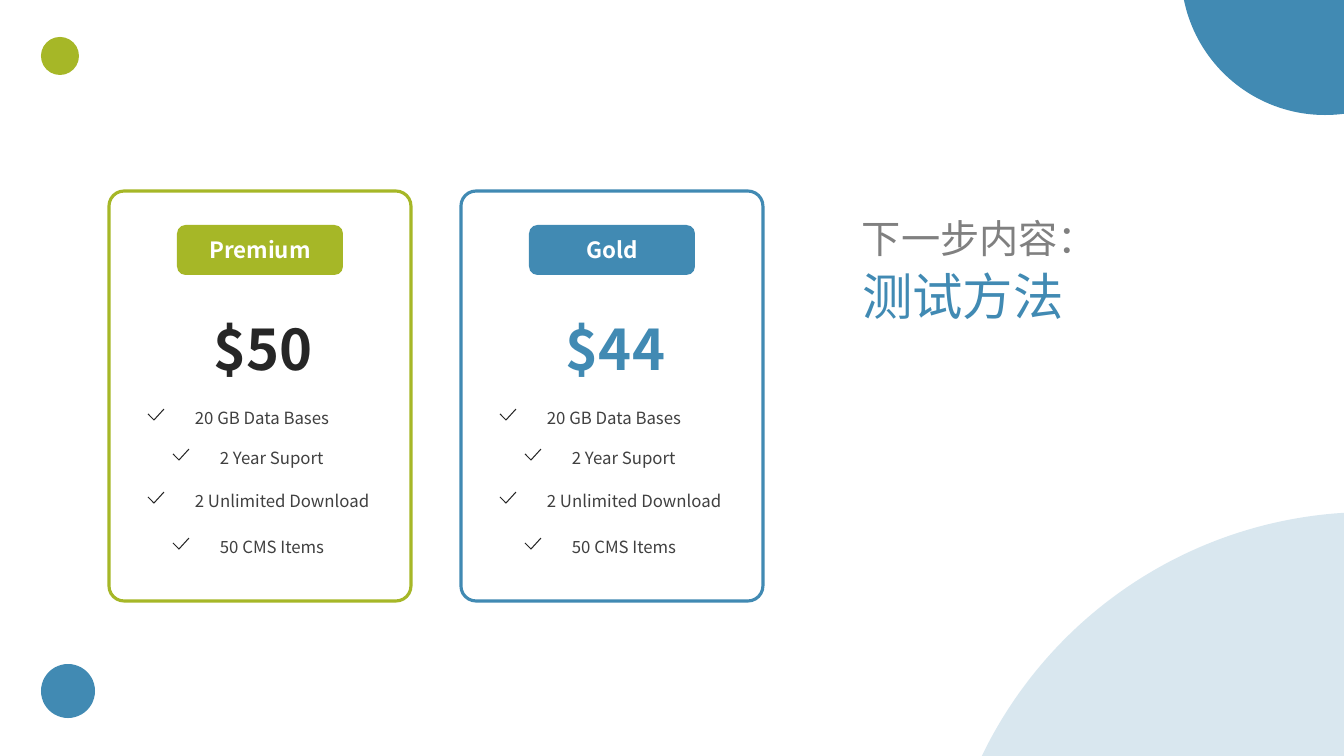
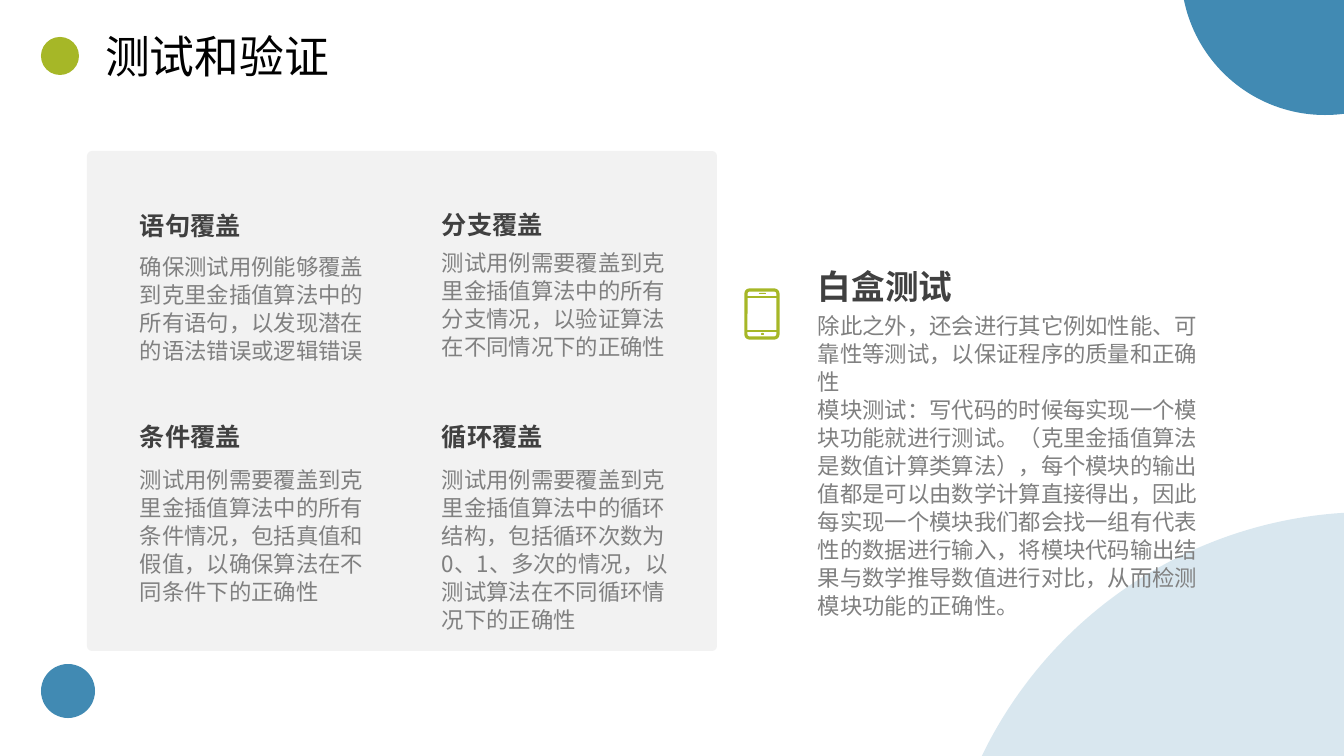
from typing import NamedTuple, Optional

from lxml import etree
from pptx import Presentation
from pptx.dml.color import RGBColor
from pptx.enum.lang import MSO_LANGUAGE_ID as Lang
from pptx.enum.shapes import MSO_CONNECTOR as Conn, MSO_SHAPE as Geo
from pptx.enum.text import MSO_ANCHOR as Anchor, MSO_AUTO_SIZE as AutoSize, PP_ALIGN as Align
from pptx.oxml.ns import qn
from pptx.util import Emu, Pt

SCALE = 914400 / 100.8
WIDTH, HEIGHT = 1344, 756
FONT = "Noto Sans CJK SC"
COLORS = {
    "blue": "418AB3", "green": "A6B727", "white": "FFFFFF", "panel": "F2F2F2",
    "black": "000000", "ink": "262626", "dark": "404040", "gray": "808080",
}


class Box(NamedTuple):
    x: int
    y: int
    w: int
    h: int


class Style(NamedTuple):
    size: int
    color: str
    bold: bool = False
    font: str = FONT
    align: Align = Align.LEFT
    spacing: Optional[object] = None


class Circle(NamedTuple):
    x: int
    y: int
    size: int
    color: str
    alpha: int = 100


class Plan(NamedTuple):
    name: str
    price: str
    color: str
    price_color: str


class Feature(NamedTuple):
    text: str
    x: int
    y: int


class Topic(NamedTuple):
    head: str
    body: str
    x: int
    head_y: int
    body_y: int


BODY = Style(16, "gray", spacing=Pt(20))
TOPIC_HEAD = Style(18, "dark", bold=True)
FEATURE = Style(12, "dark", align=Align.JUSTIFY, spacing=1.5)
BADGE = Style(16, "white", bold=True, align=Align.CENTER)

CIRCLES = [
    Circle(939, 512, 863, "blue", 20),
    Circle(1181, -173, 288, "blue"),
    Circle(41, 664, 54, "blue"),
    Circle(41, 37, 38, "green"),
]
CARD, CARD_STEP = Box(109, 191, 302, 410), 352
PLANS = [
    Plan("Premium", "$50", "green", "ink"),
    Plan("Gold", "$44", "blue", "blue"),
]
# Feature positions are relative to the card
FEATURES = [
    Feature("20 GB Data Bases", 76, 202),
    Feature("2 Year Suport", 101, 242),
    Feature("2 Unlimited Download", 76, 285),
    Feature("50 CMS Items", 101, 331),
]
TOPICS = [
    Topic("语句覆盖", "确保测试用例能够覆盖到克里金插值算法中的所有语句，以发现潜在的语法错误或逻辑错误",
          130, 205, 247),
    Topic("分支覆盖", "测试用例需要覆盖到克里金插值算法中的所有分支情况，以验证算法在不同情况下的正确性",
          432, 204, 243),
    Topic("条件覆盖", "测试用例需要覆盖到克里金插值算法中的所有条件情况，包括真值和假值，"
          "以确保算法在不同条件下的正确性", 130, 416, 460),
    Topic("循环覆盖", "测试用例需要覆盖到克里金插值算法中的循环结构，包括循环次数为0、1、多次的情况，"
          "以测试算法在不同循环情况下的正确性", 432, 416, 460),
]
WHITE_BOX = [
    "除此之外，还会进行其它例如性能、可靠性等测试，以保证程序的质量和正确性",
    "模块测试：写代码的时候每实现一个模块功能就进行测试。（克里金插值算法是数值计算类算法），"
    "每个模块的输出值都是可以由数学计算直接得出，因此每实现一个模块我们都会找一组有代表性的数据进行输入，"
    "将模块代码输出结果与数学推导数值进行对比，从而检测模块功能的正确性。",
]


def px(n: float) -> Emu:
    return Emu(round(n * SCALE))


def rgb(name: str) -> RGBColor:
    return RGBColor.from_string(COLORS[name])


def write(sp, texts: list[str], style: Style, anchor=Anchor.TOP) -> None:
    tf = sp.text_frame
    tf.word_wrap = True
    tf.auto_size = AutoSize.NONE
    tf.vertical_anchor = anchor
    for i, text in enumerate(texts):
        p = tf.add_paragraph() if i else tf.paragraphs[0]
        p.alignment = style.align
        if style.spacing is not None:
            p.line_spacing = style.spacing
        r = p.add_run()
        r.text = text
        f = r.font
        f.size, f.bold, f.name = Pt(style.size), style.bold, style.font
        f.color.rgb = rgb(style.color)
        if not text.isascii():
            f.language_id = Lang.SIMPLIFIED_CHINESE
        # East Asian glyphs follow the a:latin element
        ea = etree.Element(qn("a:ea"), typeface=FONT)
        r.font._element.find(qn("a:latin")).addnext(ea)


def add_text(s, box: Box, texts: list[str], style: Style) -> None:
    write(s.shapes.add_textbox(*map(px, box)), texts, style)


def add_title(s, box: Box, text: str, style: Style) -> None:
    title = s.shapes.title
    title.left, title.top, title.width, title.height = map(px, box)
    write(title, [text], style)


def add_shape(s, geo: Geo, box: Box, fill: Optional[str] = None, line: Optional[str] = None,
              line_pt: float = 2.25, adj: Optional[float] = None):
    sp = s.shapes.add_shape(geo, *map(px, box))
    sp.shadow.inherit = False
    if adj is not None:
        sp.adjustments[0] = adj
    if fill:
        sp.fill.solid()
        sp.fill.fore_color.rgb = rgb(fill)
    else:
        sp.fill.background()
    if line:
        sp.line.color.rgb = rgb(line)
        sp.line.width = Pt(line_pt)
    else:
        sp.line.fill.background()
    return sp


def add_circles(s) -> None:
    for c in CIRCLES:
        sp = add_shape(s, Geo.FLOWCHART_CONNECTOR, Box(c.x, c.y, c.size, c.size), c.color)
        if c.alpha < 100:
            color = next(sp.element.iter(qn("a:srgbClr")))
            etree.SubElement(color, qn("a:alpha"), val=str(c.alpha * 1000))


def add_tick(s, x: int, y: int) -> None:
    builder = s.shapes.build_freeform(x, y + 5, scale=SCALE)
    builder.add_line_segments([(x + 6, y + 11), (x + 16, y)], close=False)
    sp = builder.convert_to_shape()
    sp.shadow.inherit = False
    sp.fill.background()
    sp.line.color.rgb = rgb("ink")
    sp.line.width = Pt(0.75)


def add_plan(s, plan: Plan, x: int) -> None:
    y = CARD.y
    add_shape(s, Geo.ROUNDED_RECTANGLE, CARD._replace(x=x), "white", plan.color, adj=0.05)
    badge = add_shape(s, Geo.ROUNDED_RECTANGLE, Box(x + 68, y + 34, 166, 50), plan.color, adj=0.17)
    write(badge, [plan.name], BADGE, Anchor.MIDDLE)
    price = Style(40, plan.price_color, bold=True, align=Align.CENTER)
    add_text(s, Box(x + 48, y + 119, 213, 77), [plan.price], price)
    for item in FEATURES:
        left, top = x + item.x, y + item.y
        add_text(s, Box(left, top, 201, 40), [item.text], FEATURE)
        add_tick(s, left - 37, top + 16)


def add_phone(s) -> None:
    add_shape(s, Geo.ROUNDED_RECTANGLE, Box(746, 290, 32, 48), line="green", adj=0.11)
    for y in (297, 331):
        rule = s.shapes.add_connector(Conn.STRAIGHT, px(746), px(y), px(778), px(y))
        rule.line.color.rgb = rgb("green")
        rule.line.width = Pt(1.5)
        etree.SubElement(rule.element.spPr, qn("a:effectLst"))
    # Speaker and home button
    for box in (Box(759, 293, 7, 1), Box(761, 333, 3, 2)):
        add_shape(s, Geo.ROUNDED_RECTANGLE, box, "green", adj=0.5)


def build_plans(s) -> None:
    for i, plan in enumerate(PLANS):
        add_plan(s, plan, CARD.x + i * CARD_STEP)
    add_text(s, Box(852, 209, 423, 49), ["下一步内容："], Style(28, "gray"))
    add_title(s, Box(852, 260, 300, 71), "测试方法", Style(36, "blue"))


def build_testing(s) -> None:
    add_title(s, Box(95, 24, 400, 64), "测试和验证", Style(32, "black", font="Arial"))
    # Coverage panel
    add_shape(s, Geo.ROUNDED_RECTANGLE, Box(87, 151, 630, 500), "panel", adj=0.01)
    for t in TOPICS:
        add_text(s, Box(t.x, t.head_y, 147, 40), [t.head], TOPIC_HEAD)
        add_text(s, Box(t.x, t.body_y, 258, 178), [t.body], BODY)
    # White-box testing
    add_phone(s)
    add_text(s, Box(808, 261, 212, 50), ["白盒测试"], Style(24, "dark", bold=True))
    add_text(s, Box(808, 306, 400, 320), WHITE_BOX, BODY)


def main() -> None:
    prs = Presentation()
    prs.slide_width, prs.slide_height = px(WIDTH), px(HEIGHT)
    for build in (build_plans, build_testing):
        s = prs.slides.add_slide(prs.slide_layouts[5])
        add_circles(s)
        build(s)
    prs.save("out.pptx")


if __name__ == "__main__":
    main()
